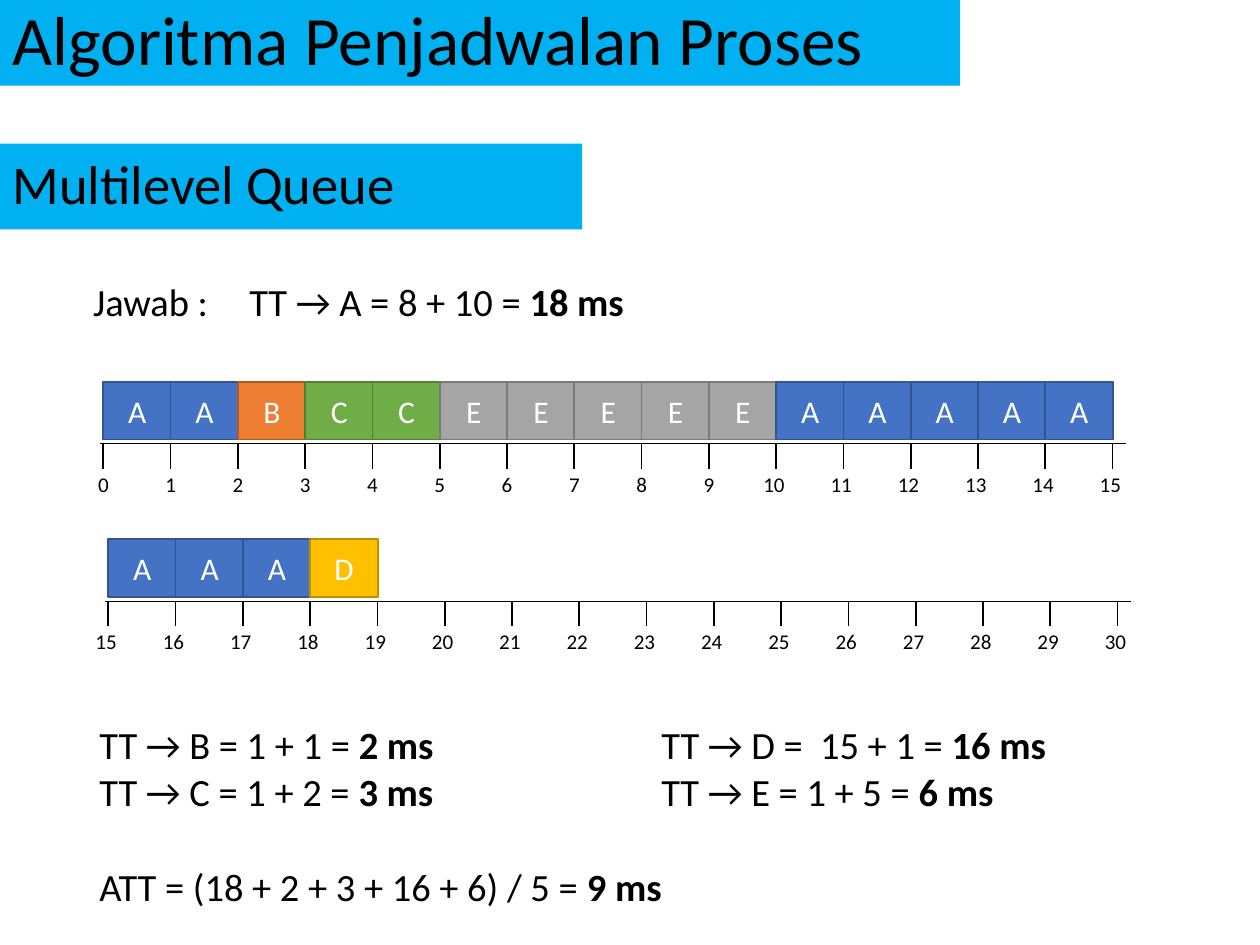
from dataclasses import dataclass

from pptx import Presentation
from pptx.dml.color import RGBColor
from pptx.enum import shapes, text
from pptx.oxml.ns import qn
from pptx.util import Inches, Pt
from lxml import etree

BLACK = RGBColor(0x00, 0x00, 0x00)
WHITE = RGBColor(0xFF, 0xFF, 0xFF)
CYAN = RGBColor(0x00, 0xB0, 0xF0)
# Fill and outline of each process
COLORS = {
    "A": (RGBColor(0x44, 0x72, 0xC4), RGBColor(0x32, 0x54, 0x91)),
    "B": (RGBColor(0xED, 0x7D, 0x31), RGBColor(0xAF, 0x5C, 0x24)),
    "C": (RGBColor(0x70, 0xAD, 0x47), RGBColor(0x53, 0x80, 0x35)),
    "D": (RGBColor(0xFF, 0xC0, 0x00), RGBColor(0xBD, 0x8E, 0x00)),
    "E": (RGBColor(0xA5, 0xA5, 0xA5), RGBColor(0x7A, 0x7A, 0x7A)),
}
FONT = "Calibri"
SLOTS = 15
STEP = 8.01 / SLOTS


@dataclass
class Banner:
    top: float
    width: float
    size: float
    label: str


@dataclass
class Chart:
    left: float
    axis: float
    start: int
    jobs: str


@dataclass
class Note:
    left: float
    top: float
    width: float
    label: str
    result: str = ""


BANNERS = [
    Banner(0, 7.62, 39.6, "Algoritma Penjadwalan Proses"),
    Banner(1.14, 4.62, 31.2, "Multilevel Queue"),
]
CHARTS = [
    Chart(0.82, 3.52, 0, "AABCCEEEEEAAAAA"),
    Chart(0.86, 4.77, 15, "AAAD"),
]
NOTES = [
    Note(0.64, 2.16, 1.98, "Jawab :"),
    Note(1.88, 2.16, 4.45, "TT → A = 8 + 10 = ", "18 ms"),
    Note(0.69, 5.67, 3.87, "TT → B = 1 + 1 = ", "2 ms"),
    Note(0.69, 6.05, 3.72, "TT → C = 1 + 2 = ", "3 ms"),
    Note(5.15, 5.67, 3.69, "TT → D =  15 + 1 = ", "16 ms"),
    Note(5.15, 6.05, 4.17, "TT → E = 1 + 5 = ", "6 ms"),
    Note(0.69, 6.8, 5.84, "ATT = (18 + 2 + 3 + 16 + 6) / 5 = ", "9 ms"),
]


def style(para, size: float, color: RGBColor, align) -> None:
    para.alignment = align
    font = para.font
    font.name, font.size = FONT, Pt(size)
    font.color.rgb = color


def add_rect(slide, left: float, top: float, width: float, height: float,
             fill: RGBColor, label: str):
    rect = slide.shapes.add_shape(
        shapes.MSO_SHAPE.RECTANGLE,
        Inches(left), Inches(top), Inches(width), Inches(height))
    rect.shadow.inherit = False
    rect.fill.solid()
    rect.fill.fore_color.rgb = fill
    frame = rect.text_frame
    frame.vertical_anchor = text.MSO_ANCHOR.MIDDLE
    frame.text = label
    return rect


def add_line(slide, x1: float, y1: float, x2: float, y2: float,
             width: float) -> None:
    line = slide.shapes.add_connector(
        shapes.MSO_CONNECTOR.STRAIGHT,
        Inches(x1), Inches(y1), Inches(x2), Inches(y2))
    line.line.color.rgb = BLACK
    line.line.width = Pt(width)
    etree.SubElement(line._element.spPr, qn("a:effectLst"))


def add_text(slide, note: Note, height: float, size: float, align) -> None:
    box = slide.shapes.add_textbox(
        Inches(note.left), Inches(note.top), Inches(note.width), Inches(height))
    frame = box.text_frame
    frame.word_wrap = True
    frame.auto_size = text.MSO_AUTO_SIZE.SHAPE_TO_FIT_TEXT
    para = frame.paragraphs[0]
    para.add_run().text = note.label
    if note.result:
        run = para.add_run()
        run.text = note.result
        run.font.bold = True
    style(para, size, BLACK, align)


def draw_banner(slide, item: Banner) -> None:
    rect = add_rect(slide, 0, item.top, item.width, 0.68, CYAN, item.label)
    rect.line.fill.background()
    para = rect.text_frame.paragraphs[0]
    para.line_spacing = 0.9
    style(para, item.size, BLACK, text.PP_ALIGN.LEFT)


def draw_chart(slide, chart: Chart) -> None:
    # Time axis with ticks and labels
    add_line(slide, chart.left - 0.03, chart.axis,
             chart.left + 8.12, chart.axis, 0.5)
    for slot in range(SLOTS + 1):
        x = chart.left + slot * STEP
        add_line(slide, x, chart.axis, x, chart.axis + 0.2, 1)
        time = str(chart.start + slot)
        shift, width = (0.14, 0.33) if len(time) == 1 else (0.2, 0.4)
        label = Note(x - shift, chart.axis + 0.17, width, time)
        add_text(slide, label, 0.3, 12, text.PP_ALIGN.LEFT)
    # One block per unit of time
    for slot, job in enumerate(chart.jobs):
        fill, edge = COLORS[job]
        rect = add_rect(slide, chart.left + slot * STEP, chart.axis - 0.49,
                        0.54, 0.46, fill, job)
        rect.line.color.rgb = edge
        rect.line.width = Pt(1)
        style(rect.text_frame.paragraphs[0], 18, WHITE, text.PP_ALIGN.CENTER)


def main() -> None:
    deck = Presentation()
    deck.slide_width, deck.slide_height = Inches(10), Inches(7.5)
    slide = deck.slides.add_slide(deck.slide_layouts[6])
    # Headings
    for item in BANNERS:
        draw_banner(slide, item)
    # Schedule
    for chart in CHARTS:
        draw_chart(slide, chart)
    # Turnaround times
    for note in NOTES:
        add_text(slide, note, 0.47, 22, text.PP_ALIGN.JUSTIFY)
    deck.save("out.pptx")


if __name__ == "__main__":
    main()
